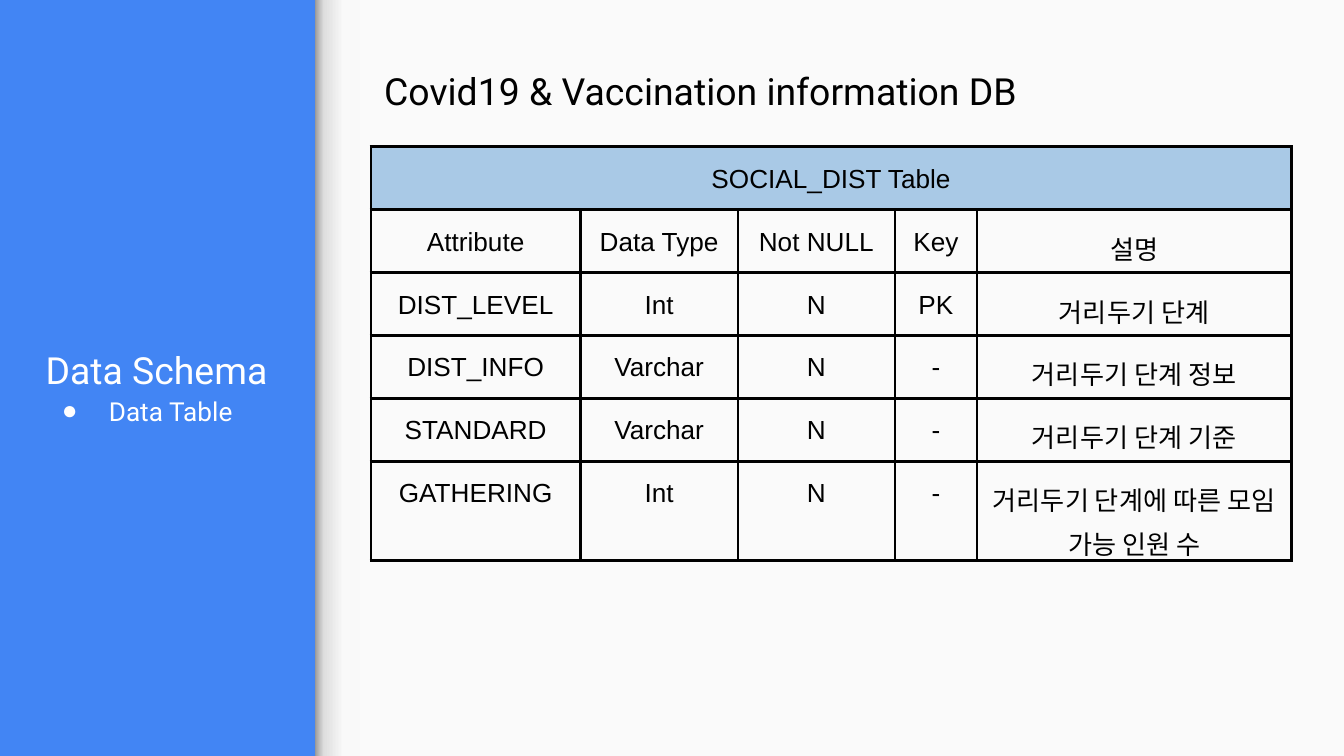
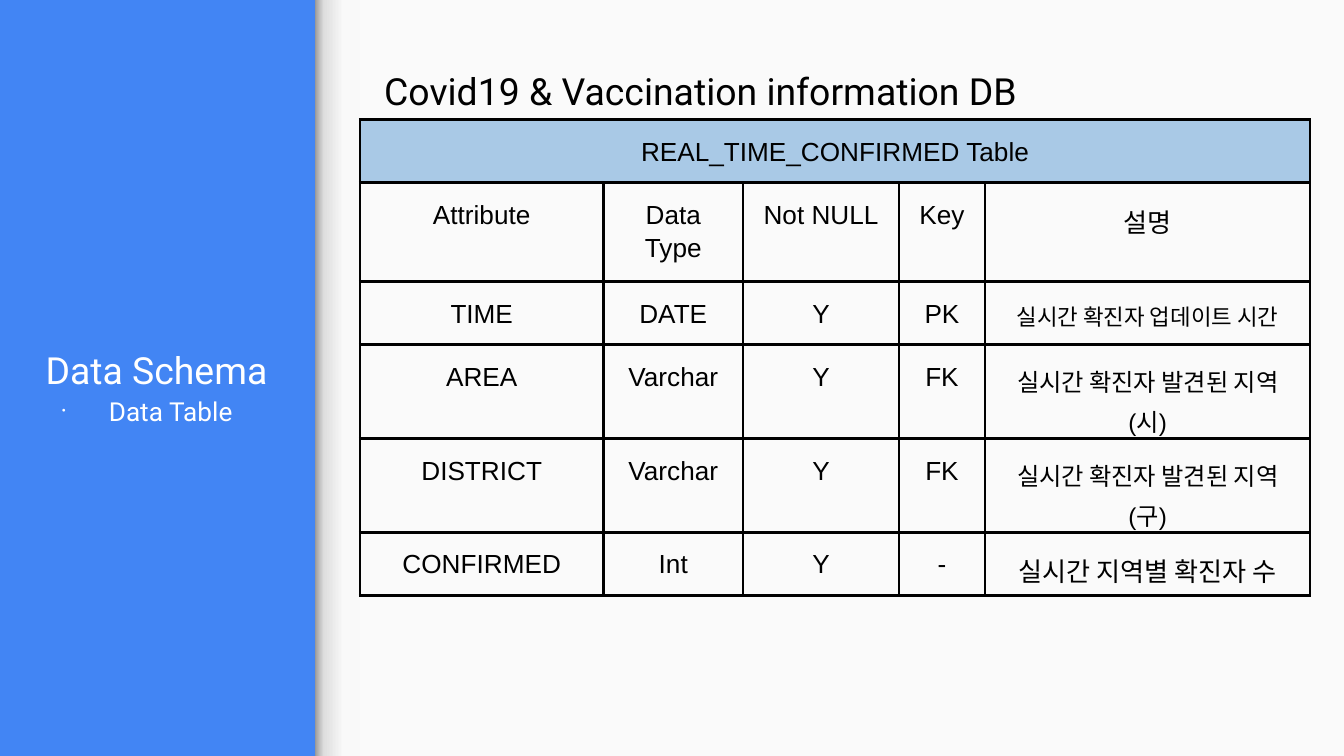
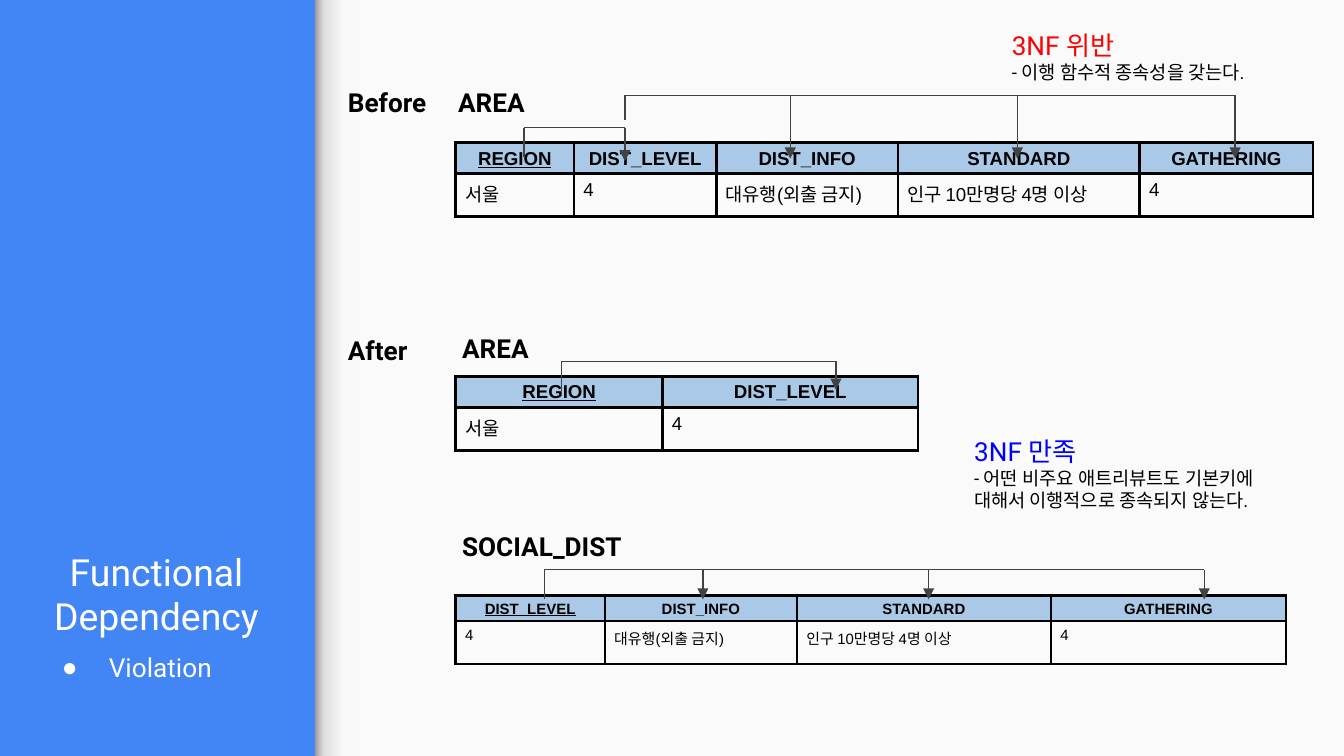
from lxml import etree
from pptx import Presentation
from pptx import util as u
from pptx.dml.color import RGBColor
from pptx.enum import shapes, text
from pptx.oxml import ns

HUES = {"blue": "4285F4", "panel": "FAFAFA", "head": "A9C9E6", "ink": "000000",
        "white": "FFFFFF", "line": "424242", "bad": "FF0000", "good": "0000FF"}
SHADE = [(0, "F9F9F9"), (36, "F9F9F9"), (80, "DEDEDE"), (100, "999999")]
WIDE = 10
TALL = WIDE * 9 / 16
MID = text.PP_ALIGN.CENTER
LEFT = text.PP_ALIGN.LEFT
GROW = text.MSO_AUTO_SIZE.SHAPE_TO_FIT_TEXT
FIELDS = ["Attribute", "Data Type", "Not NULL", "Key", "설명"]


def hue(name):
    return RGBColor.from_string(HUES[name])


def inch(*nums):
    return [u.Inches(n) for n in nums]


def put(obj, **vals):
    for key, val in vals.items():
        setattr(obj, key, val)


def pad(obj, x, y):
    put(obj, margin_left=u.Inches(x), margin_right=u.Inches(x),
        margin_top=u.Inches(y), margin_bottom=u.Inches(y))


def sub(node, tag, **vals):
    return etree.SubElement(node, ns.qn(tag), {k: str(v) for k, v in vals.items()})


def paint(node, name):
    sub(sub(node, "a:solidFill"), "a:srgbClr", val=HUES[name])


def write(para, words, size, font="Roboto", ink="ink", look=None, form=None):
    put(para, **(form or {}))
    run = para.add_run()
    run.text = words
    run.font.color.rgb = hue(ink)
    put(run.font, name=font, size=u.Pt(size), **(look or {}))
    if font == "Roboto":
        sub(run.font._element, "a:ea", typeface=font)


def fit(frame, **vals):
    pad(frame, 0.1, 0.1)
    put(frame, word_wrap=True, **vals)


def note(slide, box, lines, bold=False, space=None):
    frame = slide.shapes.add_textbox(*inch(*box)).text_frame
    fit(frame, auto_size=GROW)
    for i, (words, size, ink) in enumerate(lines):
        para = frame.add_paragraph() if i else frame.paragraphs[0]
        write(para, words, size, ink=ink, look={"bold": bold}, form={"line_spacing": space})


def label(slide, x, y, w, words):
    note(slide, (x, y, w, 0.44), [(words, 14, "ink")], bold=True)


def block(slide, box):
    shape = slide.shapes.add_shape(shapes.MSO_SHAPE.RECTANGLE, *inch(*box))
    shape.shadow.inherit = False
    shape.line.fill.background()
    return shape


def panel(slide):
    page = block(slide, (2.46, 0, WIDE - 2.46, TALL))
    page.fill.solid()
    page.fill.fore_color.rgb = hue("panel")
    shade = block(slide, (-0.3, 2.64, TALL, 0.34))
    shade.rotation = 270
    shade.fill.gradient()
    grad = shade.element.spPr.find(ns.qn("a:gradFill"))
    grad.clear()
    grad.set("rotWithShape", "1")
    stops = sub(grad, "a:gsLst")
    for pos, tone in SHADE:
        sub(sub(stops, "a:gs", pos=pos * 1000), "a:srgbClr", val=tone)
    sub(grad, "a:lin", ang=270 * 60000, scaled=0)


def side(slide, y, title, item, drop, dot=100):
    head, body = slide.placeholders
    for shape, box in ((head, (0, y, 2.33, 1.04)), (body, (0.21, y + drop, 2.19, 0.44))):
        put(shape, **dict(zip(("left", "top", "width", "height"), inch(*box))))
    fit(head.text_frame, vertical_anchor=text.MSO_ANCHOR.BOTTOM,
        auto_size=text.MSO_AUTO_SIZE.NONE)
    write(head.text_frame.paragraphs[0], title, 20, ink="white",
          form={"alignment": MID, "space_after": u.Pt(16)})
    fit(body.text_frame, auto_size=GROW)
    para = body.text_frame.paragraphs[0]
    write(para, item, 14, ink="white", form={"space_before": u.Pt(0)})
    prop = para._p.get_or_add_pPr()
    prop.set("marL", str(u.Inches(0.5)))
    prop.set("indent", str(u.Inches(-0.35)))
    sub(sub(prop, "a:buClr"), "a:srgbClr", val=HUES["white"])
    sub(prop, "a:buSzPct", val=dot * 1000)
    sub(prop, "a:buFont", typeface="Arial")
    sub(prop, "a:buChar", char="●")


def edge(cell):
    prop = cell._tc.get_or_add_tcPr()
    for name in ("a:lnL", "a:lnR", "a:lnT", "a:lnB"):
        paint(sub(prop, name, w=u.Pt(1.5)), "ink")


def grid(slide, x, y, cols, rows):
    box = inch(x, y, sum(cols), sum(rows))
    table = slide.shapes.add_table(len(rows), len(cols), *box).table
    put(table, first_row=False, horz_banding=False)
    for col, w in zip(table.columns, cols):
        col.width = u.Inches(w)
    for i, h in enumerate(rows):
        table.rows[i].height = u.Inches(h)
        for cell in table.rows[i].cells:
            edge(cell)
            if i:
                cell.fill.background()
            else:
                cell.fill.solid()
                cell.fill.fore_color.rgb = hue("head")
    return table


def schema(slide, x, y, cols, rows, name, data, sizes=None):
    table = grid(slide, x, y, cols, rows)
    table.cell(0, 0).merge(table.cell(0, len(cols) - 1))
    for i, row in enumerate([[name], FIELDS] + data):
        for j, words in enumerate(row):
            cell = table.cell(i, j)
            pad(cell, 0.1, 0.1)
            write(cell.text_frame.paragraphs[0], words, (sizes or {}).get((i, j), 14),
                  "Arial", form={"alignment": MID, "line_spacing": 1.15})


def entity(slide, x, y, cols, heads, vals, size=10):
    table = grid(slide, x, y, cols, [0.19, 0.32])
    for i, row in enumerate((heads, vals)):
        for j, words in enumerate(row):
            cell = table.cell(i, j)
            pad(cell, 0.07, 0.02)
            write(cell.text_frame.paragraphs[0], words, size, "Arial",
                  look={"bold": i == 0, "underline": i == j == 0},
                  form={"alignment": LEFT if i else MID, "line_spacing": 1.15,
                        "space_before": u.Pt(12), "space_after": u.Pt(12)})


def line(slide, x1, y1, x2, y2, arrow=False):
    link = slide.shapes.add_connector(shapes.MSO_CONNECTOR.STRAIGHT,
                                      *inch(x1, y1, x2, y2))
    link.line.color.rgb = hue("line")
    link.line.width = u.Pt(0.75)
    if arrow:
        sub(link.line._get_or_add_ln(), "a:tailEnd", type="triangle")
    sub(link.element.spPr, "a:effectLst")


def fork(slide, x, y, foot, rail, ends, tip):
    line(slide, x, y + foot, x, y + rail)
    line(slide, x, y + rail, ends[-1], y + rail)
    for end in ends:
        line(slide, end, y + rail, end, y + tip, arrow=True)


def data_page(slide, dot, **vals):
    panel(slide)
    side(slide, 1.98, "Data Schema", "Data Table", 0.86, dot)
    note(slide, (2.76, 0.36, 4.95, 0.54),
         [("Covid19 & Vaccination information DB", 20, "ink")], space=1.15)
    schema(slide, **vals)


def norm_page(slide):
    panel(slide)
    side(slide, 3.81, "Functional Dependency", "Violation", 0.94)
    label(slide, 2.49, 0.54, 0.97, "Before")
    label(slide, 2.49, 2.39, 0.97, "After")
    heads = ["REGION", "DIST_LEVEL", "DIST_INFO", "STANDARD", "GATHERING"]
    vals = ["서울", "4", "대유행(외출 금지)", "인구 10만명당 4명 이상", "4"]
    x = 3.39
    entity(slide, x, 1.06, [0.88, 1.06, 1.35, 1.8, 1.29], heads, vals)
    entity(slide, x, 2.8, [1.54, 1.9], heads[:2], vals[:2])
    entity(slide, x, 4.43, [1.11, 1.43, 1.89, 1.75], heads[1:], vals[1:], 8)
    label(slide, 3.31, 0.54, 0.71, "AREA")
    label(slide, 3.34, 2.37, 0.71, "AREA")
    label(slide, 3.34, 3.85, 1.43, "SOCIAL_DIST")
    fork(slide, 3.9, 1.06, 0.11, -0.11, [4.65], 0.14)
    fork(slide, 4.65, 1.06, -0.17, -0.35, [5.88, 7.57, 9.19], 0.12)
    fork(slide, 4.18, 2.8, 0.11, -0.11, [6.22], 0.1)
    fork(slide, 4.05, 4.43, 0.03, -0.19, [5.23, 6.91, 8.96], 0.03)
    note(slide, (7.43, 0.12, 2.19, 0.94),
         [("3NF 위반", 14, "bad"), ("- 이행 함수적 종속성을 갖는다.", 10, "ink")])
    note(slide, (7.15, 3.14, 2.85, 0.77),
         [("3NF 만족", 14, "good"), ("- 어떤 비주요 애트리뷰트도 기본키에", 10, "ink"),
          ("대해서 이행적으로 종속되지 않는다.", 10, "ink")])


def main():
    prs = Presentation()
    prs.slide_width, prs.slide_height = inch(WIDE, TALL)
    back = prs.slide_master.background.fill
    back.solid()
    back.fore_color.rgb = hue("blue")
    first, second, third = [prs.slides.add_slide(prs.slide_layouts[1]) for _ in range(3)]
    data_page(first, 100, x=2.76, y=1.09, cols=[1.56, 1.17, 1.17, 0.61, 2.34],
              rows=[0.41] * 4 + [0.26, 0.52], name="SOCIAL_DIST Table", data=[
                  ["DIST_LEVEL", "Int", "N", "PK", "거리두기 단계"],
                  ["DIST_INFO", "Varchar", "N", "-", "거리두기 단계 정보"],
                  ["STANDARD", "Varchar", "N", "-", "거리두기 단계 기준"],
                  ["GATHERING", "Int", "N", "-", "거리두기 단계에 따른 모임 가능 인원 수"]])
    data_page(second, 25, x=2.68, y=0.89, cols=[1.81, 1.04, 1.16, 0.64, 2.42],
              rows=[0.41] * 4 + [0.47, 0.41], name="REAL_TIME_CONFIRMED Table", data=[
                  ["TIME", "DATE", "Y", "PK", "실시간 확진자 업데이트 시간"],
                  ["AREA", "Varchar", "Y", "FK", "실시간 확진자 발견된 지역(시)"],
                  ["DISTRICT", "Varchar", "Y", "FK", "실시간 확진자 발견된 지역(구)"],
                  ["CONFIRMED", "Int", "Y", "-", "실시간 지역별 확진자 수"]],
              sizes={(2, 4): 12, (3, 4): 13, (4, 4): 13})
    norm_page(third)
    prs.save("out.pptx")


if __name__ == "__main__":
    main()
